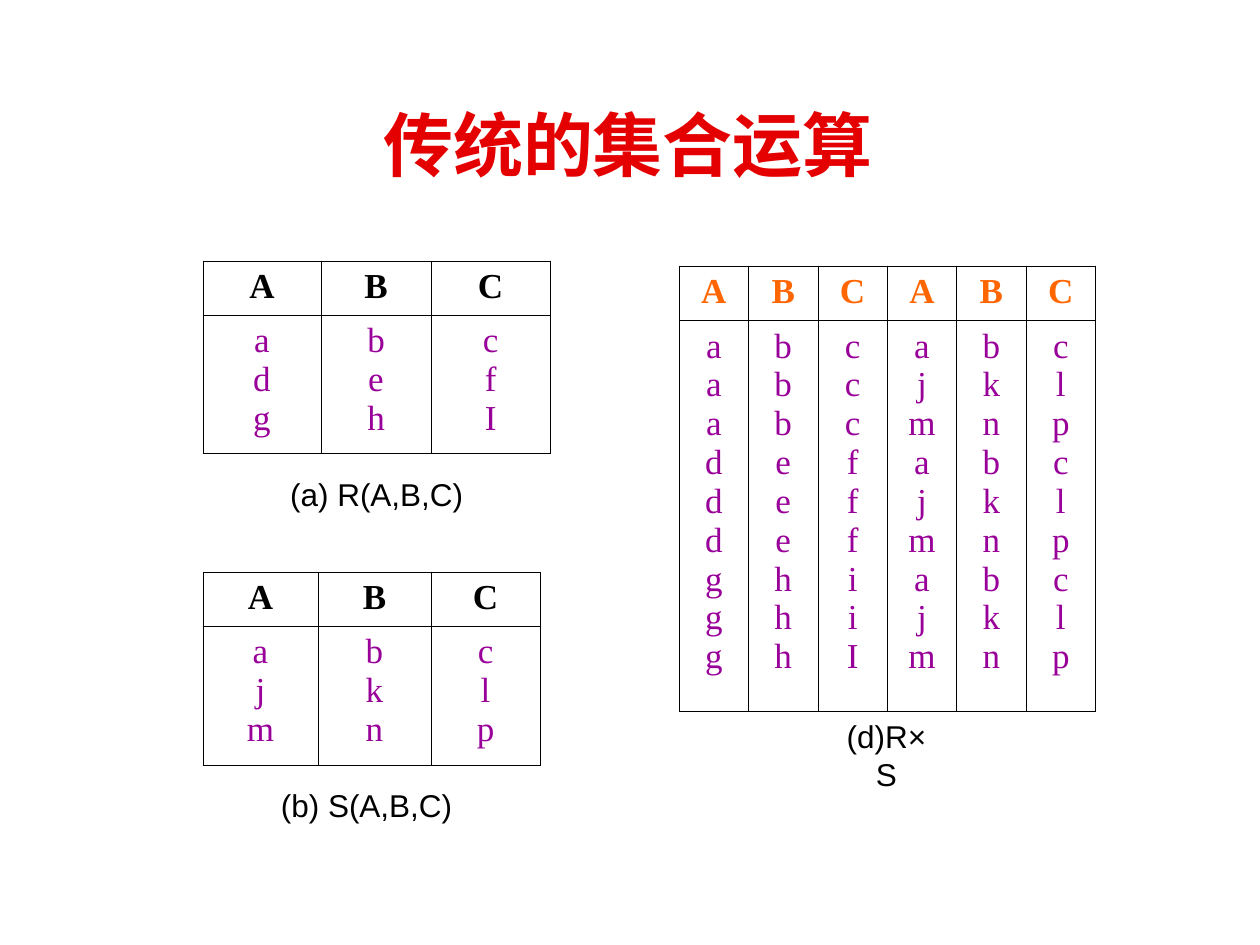
from dataclasses import dataclass

from lxml import etree
from pptx import Presentation
from pptx import util as u
from pptx.dml.color import RGBColor
from pptx.enum import text
from pptx.oxml import ns

HUES = {"title": "E40000", "ink": "000000", "body": "990099", "mark": "FF6600"}
HEAD = {"name": "Times New Roman", "size": u.Pt(20), "bold": True}
BODY = HEAD | {"bold": False}
NOTE = {"name": "Arial", "size": u.Pt(18), "bold": False}
TITLE = {"name": "Noto Sans CJK SC", "size": u.Pt(40), "bold": True}
HANG = 0.97


@dataclass
class Grid:
    left: float
    top: float
    cols: list[float]
    rows: list[float]
    heads: str
    data: list[str]  # one string per column, one letter per line
    hue: str = "ink"
    hang: float = 0


@dataclass
class Label:
    left: float
    top: float
    width: float
    height: float
    words: str
    form: dict
    hue: str = "ink"
    wrap: bool = True
    fit: text.MSO_AUTO_SIZE = text.MSO_AUTO_SIZE.SHAPE_TO_FIT_TEXT


def style(para, form: dict, hue: str) -> None:
    para.alignment = text.PP_ALIGN.CENTER
    for run in para.runs:
        for key, val in form.items():
            setattr(run.font, key, val)
        run.font.color.rgb = RGBColor.from_string(HUES[hue])
        east = etree.SubElement(run.font._element, ns.qn("a:ea"))
        east.set("typeface", form["name"])


def border(cell) -> None:
    props = cell._tc.get_or_add_tcPr()
    for pos, side in enumerate(("lnL", "lnR", "lnT", "lnB")):
        line = etree.Element(ns.qn(f"a:{side}"), w=str(u.Pt(0.45)))
        fill = etree.SubElement(line, ns.qn("a:solidFill"))
        etree.SubElement(fill, ns.qn("a:srgbClr"), val=HUES["ink"])
        props.insert(pos, line)


def fill_cell(cell, lines: str, form: dict, hue: str, hang: float) -> None:
    cell.fill.background()
    border(cell)
    cell.text_frame.text = "\n".join(lines)
    for para in cell.text_frame.paragraphs:
        style(para, form, hue)
        if hang:
            props = para._p.get_or_add_pPr()
            props.set("marL", str(u.Cm(hang)))
            props.set("indent", str(-u.Cm(hang)))


def draw_grid(slide, grid: Grid) -> None:
    size = sum(grid.cols), sum(grid.rows)
    table = slide.shapes.add_table(
        len(grid.rows), len(grid.cols),
        *map(u.Cm, (grid.left, grid.top, *size))).table
    table.first_row = table.horz_banding = False
    for row, high in zip(table.rows, grid.rows):
        row.height = u.Cm(high)
    for num, wide in enumerate(grid.cols):
        table.columns[num].width = u.Cm(wide)
        fill_cell(table.cell(0, num), grid.heads[num], HEAD, grid.hue, grid.hang)
        fill_cell(table.cell(1, num), grid.data[num], BODY, "body", grid.hang)


def draw_label(slide, label: Label) -> None:
    box = slide.shapes.add_textbox(
        *map(u.Cm, (label.left, label.top, label.width, label.height)))
    frame = box.text_frame
    frame.text = label.words
    frame.word_wrap = label.wrap
    frame.auto_size = label.fit
    frame.vertical_anchor = text.MSO_ANCHOR.MIDDLE
    style(frame.paragraphs[0], label.form, label.hue)


GRIDS = [
    # Relation R
    Grid(4.09, 5.26, [2.38, 2.22, 2.4], [1.09, 2.8], "ABC",
         ["adg", "beh", "cfI"], hang=HANG),
    # Relation S
    Grid(4.09, 11.53, [2.32, 2.28, 2.2], [1.09, 2.8], "ABC",
         ["ajm", "bkn", "clp"], hang=HANG),
    # Product of R and S
    Grid(13.69, 5.36, [1.4] * 6, [1.1, 7.88], "ABC" * 2,
         ["aaadddggg", "bbbeeehhh", "cccfffiiI",
          "ajm" * 3, "bkn" * 3, "clp" * 3], "mark"),
]
LABELS = [
    # Captions
    Label(4.7, 9.45, 5.79, 1.02, "(a) R(A,B,C)", NOTE),
    Label(4.7, 15.72, 5.38, 1.02, "(b) S(A,B,C)", NOTE),
    Label(16.61, 14.71, 2.52, 1.02, "(d)R×S", NOTE, wrap=False),
    # Title
    Label(2.82, 1.88, 19.68, 2.03, "传统的集合运算", TITLE, "title",
          fit=text.MSO_AUTO_SIZE.NONE),
]


def main() -> None:
    deck = Presentation()
    deck.slide_width, deck.slide_height = u.Cm(25.4), u.Cm(19.05)
    slide = deck.slides.add_slide(deck.slide_layouts[6])
    for grid in GRIDS:
        draw_grid(slide, grid)
    for label in LABELS:
        draw_label(slide, label)
    deck.save("out.pptx")


if __name__ == "__main__":
    main()
